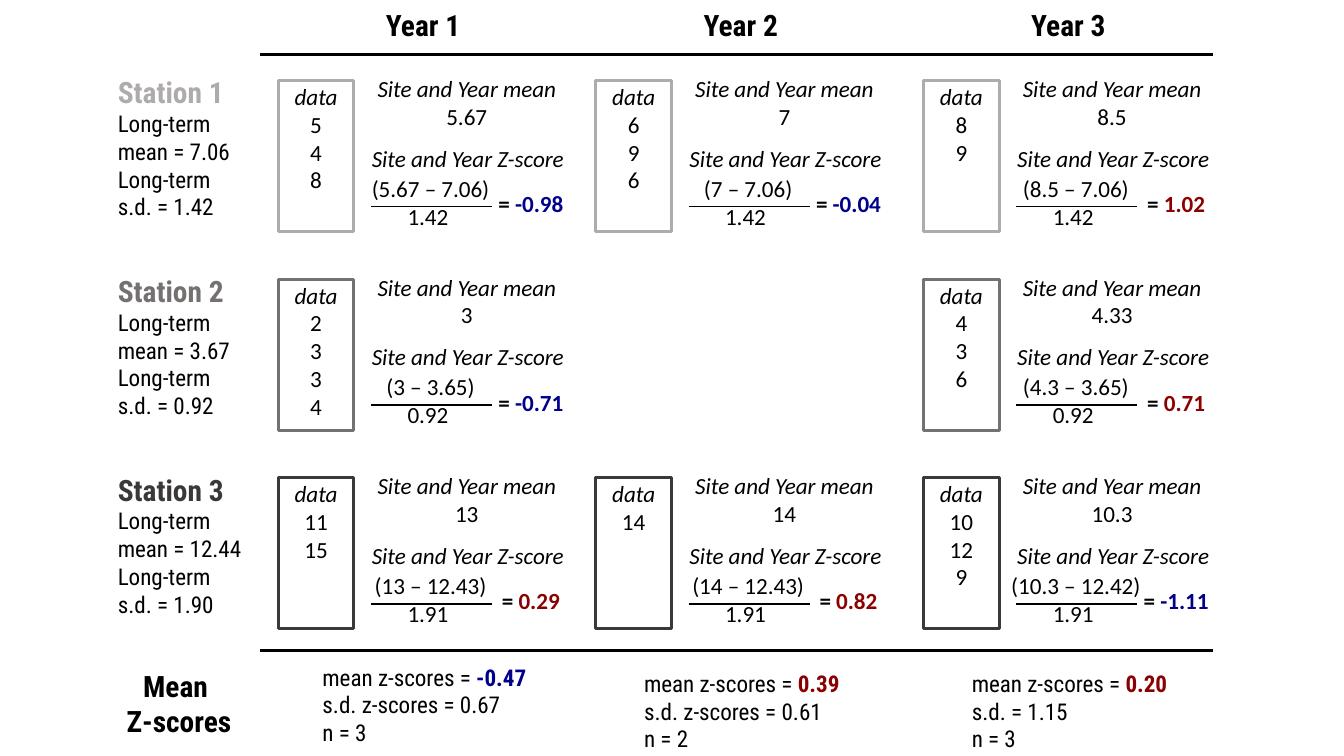
from copy import deepcopy
from dataclasses import dataclass

from lxml.etree import SubElement
from pptx import Presentation
from pptx.dml.color import RGBColor
from pptx.enum.shapes import MSO_CONNECTOR, MSO_SHAPE
from pptx.enum.text import MSO_AUTO_SIZE, PP_ALIGN
from pptx.oxml.ns import qn
from pptx.util import Inches, Pt


@dataclass(frozen=True)
class Theme:
    heading_font: str = "Roboto Condensed"
    body_font: str = "Calibri"
    heading_size: float = 21
    body_size: float = 16.5
    ink: str = "000000"
    negative: str = "00008B"
    positive: str = "8B0000"

    def score_color(self, score):
        return self.negative if score.startswith("-") else self.positive


@dataclass(frozen=True)
class Span:
    text: str
    font: str = Theme.body_font
    size: float = Theme.body_size
    color: str = Theme.ink
    bold: bool = False
    italic: bool = False


THEME = Theme()
YEAR_LEFTS = [2.76, 5.91, 9.16]
FIRST_ROW_TOP, ROW_STEP = 0.8, 1.97
LINE_HEIGHT, BOX_PADDING = 0.28, 0.1
RULE_LEFT, RULE_RIGHT = 2.58, 12.03

# Name, colour, long-term mean, long-term s.d., then for each year:
# data, mean, numerator, denominator, z-score
STATIONS = [
    ("Station 1", "AFABAB", "7.06", "1.42", [
        (["5", "4", "8"], "5.67", "(5.67 – 7.06)", "1.42", "-0.98"),
        (["6", "9", "6"], "7", "(7 – 7.06)", "1.42", "-0.04"),
        (["8", "9"], "8.5", "(8.5 – 7.06)", "1.42", "1.02"),
    ]),
    ("Station 2", "767171", "3.67", "0.92", [
        (["2", "3", "3", "4"], "3", "(3 – 3.65)", "0.92", "-0.71"),
        None,
        (["4", "3", "6"], "4.33", "(4.3 – 3.65)", "0.92", "0.71"),
    ]),
    ("Station 3", "3B3838", "12.44", "1.90", [
        (["11", "15"], "13", "(13 – 12.43)", "1.91", "0.29"),
        (["14"], "14", "(14 – 12.43)", "1.91", "0.82"),
        (["10", "12", "9"], "10.3", "(10.3 – 12.42)", "1.91", "-1.11"),
    ]),
]
# Left, top, mean z-score, s.d. line, count
SUMMARIES = [
    (3.1, 6.53, "-0.47", "s.d. z-scores = 0.67", "n = 3"),
    (6.29, 6.59, "0.39", "s.d. z-scores = 0.61", "n = 2"),
    (9.54, 6.59, "0.20", "s.d. = 1.15", "n = 3"),
]


def heading(text, color=THEME.ink):
    return Span(text, THEME.heading_font, THEME.heading_size, color, bold=True)


def note(text, color=THEME.ink, bold=False):
    return Span(text, THEME.heading_font, color=color, bold=bold)


def add_run(para, text, style):
    run = para.add_run()
    run.text = text
    run.font.name = style.font
    run.font.size = Pt(style.size)
    run.font.bold = style.bold
    run.font.italic = style.italic
    run.font.color.rgb = RGBColor.from_string(style.color)
    return run


def add_text(shapes, left, top, width, height, paragraphs, align=PP_ALIGN.LEFT):
    """Each paragraph is a list of spans; a newline in a span is a line break."""
    box = shapes.add_textbox(Inches(left), Inches(top), Inches(width), Inches(height))
    frame = box.text_frame
    frame.word_wrap = False
    frame.auto_size = MSO_AUTO_SIZE.SHAPE_TO_FIT_TEXT
    for index, spans in enumerate(paragraphs):
        para = frame.add_paragraph() if index else frame.paragraphs[0]
        para.alignment = align
        for span in spans:
            first, *others = span.text.split("\n")
            run = add_run(para, first, span)
            for line in others:
                para.add_line_break()
                # The break takes the run's size, so the line height stays even
                para._p[-1].append(deepcopy(run._r.rPr))
                add_run(para, line, span)


def add_rule(shapes, left, right, top, weight):
    rule = shapes.add_connector(
        MSO_CONNECTOR.STRAIGHT, Inches(left), Inches(top), Inches(right), Inches(top))
    rule.line.color.rgb = RGBColor.from_string(THEME.ink)
    rule.line.width = Pt(weight)
    SubElement(rule._element.spPr, qn("a:effectLst"))


def add_year_header(page, left, name):
    add_text(page.shapes, left + 0.97, 0.02, 1.07, 0.45, [[heading(name)]])


def add_station_label(page, top, name, color, mean, deviation):
    add_text(page.shapes, 1.07, top - 0.11, 1.49, 1.57, [
        [heading(name, color)],
        [note(f"Long-term\nmean = {mean}")],
        [note("Long-term")],
        [note(f"s.d. = {deviation}")],
    ])


def add_year_cell(shapes, left, top, color, cell):
    """Place the data box, yearly mean and z-score sum of one station and year."""
    data, mean, numerator, denominator, score = cell
    center = PP_ALIGN.CENTER
    data_height = BOX_PADDING + LINE_HEIGHT * (len(data) + 1)
    add_text(shapes, left + 0.06, top - 0.03, 0.63, data_height,
             [[Span("data", italic=True)]] + [[Span(value)] for value in data], center)

    frame = shapes.add_shape(
        MSO_SHAPE.RECTANGLE, Inches(left), Inches(top), Inches(0.75), Inches(1.5))
    frame.shadow.inherit = False
    frame.fill.background()
    frame.line.color.rgb = RGBColor.from_string(color)
    frame.line.width = Pt(2.25)

    add_text(shapes, left + 0.87, top - 0.11, 2, 0.66,
             [[Span("Site and Year mean", italic=True)], [Span(mean)]], center)
    add_text(shapes, left + 0.81, top + 0.58, 2.14, 0.38,
             [[Span("Site and Year Z-score", italic=True)]], center)
    add_text(shapes, left + 0.76, top + 0.88, 1.5, 0.66,
             [[Span(f"{numerator}\n{denominator} ")]], center)
    add_rule(shapes, left + 0.92, left + 2.12, top + 1.25, 1.25)
    add_text(shapes, left + 2.08, top + 1.03, 0.85, 0.38,
             [[Span("= ", bold=True),
               Span(score, color=THEME.score_color(score), bold=True)]], center)


def add_station_row(page, top, station):
    name, color, mean, deviation, cells = station
    add_station_label(page, top, name, color, mean, deviation)
    row = page.shapes.add_group_shape()
    for left, cell in zip(YEAR_LEFTS, cells):
        if cell:
            add_year_cell(row.shapes, left, top, color, cell)


def add_summary(page, left, top, score, deviation, count):
    add_text(page.shapes, left, top, 2.43, 0.93, [
        [note("mean z-scores = "), note(score, THEME.score_color(score), bold=True)],
        [note(deviation)],
        [note(count)],
    ])


def main():
    deck = Presentation()
    deck.slide_width, deck.slide_height = Inches(13.33), Inches(7.5)
    page = deck.slides.add_slide(deck.slide_layouts[6])

    for number, left in enumerate(YEAR_LEFTS, start=1):
        add_year_header(page, left, f"Year {number}")
    for top in (0.54, 6.45):
        add_rule(page.shapes, RULE_LEFT, RULE_RIGHT, top, 2)
    for index, station in enumerate(STATIONS):
        add_station_row(page, FIRST_ROW_TOP + index * ROW_STEP, station)

    add_text(page.shapes, 1.06, 6.58, 1.43, 0.81,
             [[heading("Mean ")], [heading("Z-scores")]], PP_ALIGN.CENTER)
    for summary in SUMMARIES:
        add_summary(page, *summary)
    deck.save("out.pptx")


if __name__ == "__main__":
    main()
